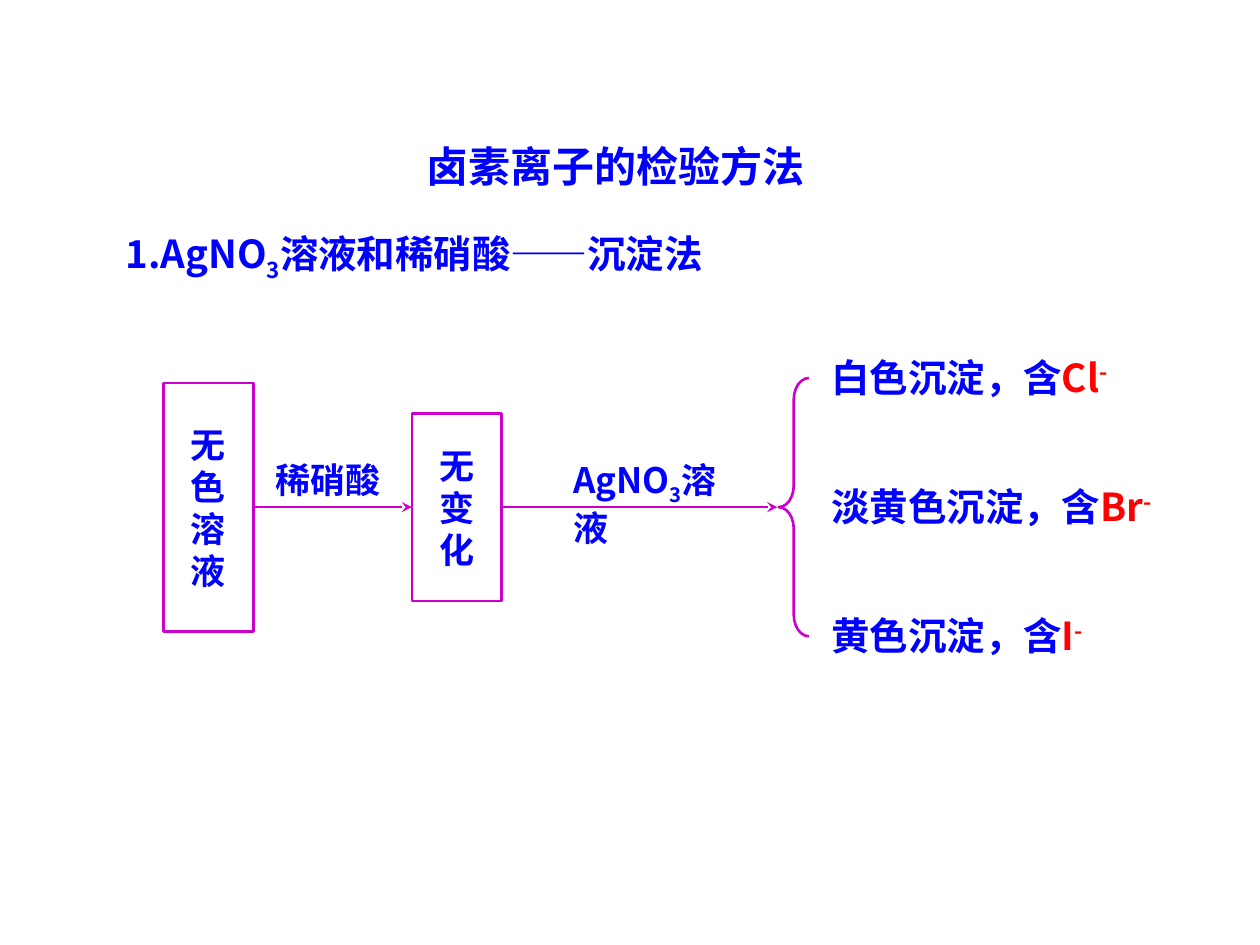
from dataclasses import dataclass

from lxml.etree import SubElement
from pptx import Presentation
from pptx.dml.color import RGBColor
from pptx.enum.shapes import MSO_CONNECTOR, MSO_SHAPE
from pptx.enum.text import MSO_ANCHOR, MSO_AUTO_SIZE, PP_ALIGN
from pptx.oxml.ns import qn
from pptx.util import Inches, Pt


@dataclass(frozen=True)
class Theme:
    ink: RGBColor = RGBColor(0x00, 0x00, 0xFF)
    accent: RGBColor = RGBColor(0xFF, 0x00, 0x00)
    line: RGBColor = RGBColor(0xCC, 0x00, 0xCC)
    font: str = "Noto Sans CJK SC"
    box_font: str = "Arial"
    title: int = 24
    body: int = 22
    label: int = 20
    line_width: float = 1.5
    sub: int = -25000
    sup: int = 30000


class Board:
    """Draws on a grid of 100 columns by 75 rows."""

    def __init__(self, prs, theme):
        self.theme = theme
        self.col, self.row = prs.slide_width / 100, prs.slide_height / 75
        self.slide = prs.slides.add_slide(prs.slide_layouts[6])

    def place(self, x, y, w=0, h=0):
        return (round(x * self.col), round(y * self.row),
                round(w * self.col), round(h * self.row))

    def fill_paragraph(self, p, runs, size, font, align):
        """Fill a paragraph from runs of (text, colour, baseline)."""
        p.alignment = align
        p.font.size, p.font.bold, p.font.name = Pt(size), True, font
        SubElement(p.font._element, qn("a:ea"), typeface=self.theme.font)
        p.font.color.rgb = self.theme.ink
        for text, color, baseline in runs:
            r = p.add_run()
            r.text = text
            if color != self.theme.ink:
                r.font.color.rgb = color
            if baseline:
                r.font._element.set("baseline", str(baseline))

    def text(self, runs, x, y, w, h, size, align=PP_ALIGN.LEFT):
        tf = self.slide.shapes.add_textbox(*self.place(x, y, w, h)).text_frame
        tf.word_wrap = True
        tf.auto_size = MSO_AUTO_SIZE.SHAPE_TO_FIT_TEXT
        self.fill_paragraph(tf.paragraphs[0], runs, size, self.theme.font,
                            align)

    def outline(self, kind, x, y, w, h):
        sp = self.slide.shapes.add_shape(kind, *self.place(x, y, w, h))
        sp.shadow.inherit = False
        sp.fill.background()
        sp.line.color.rgb = self.theme.line
        sp.line.width = Pt(self.theme.line_width)
        return sp

    def box(self, word, x, axis, w, h):
        """A box centred on the axis, one character to a line."""
        sp = self.outline(MSO_SHAPE.RECTANGLE, x, axis - h / 2, w, h)
        tf = sp.text_frame
        tf.word_wrap = False
        tf.vertical_anchor = MSO_ANCHOR.MIDDLE
        for i, char in enumerate(word):
            p = tf.add_paragraph() if i else tf.paragraphs[0]
            self.fill_paragraph(p, [(char, self.theme.ink, 0)],
                                self.theme.label, self.theme.box_font,
                                PP_ALIGN.CENTER)
        return sp

    def brace(self, x, axis, w, h):
        sp = self.outline(MSO_SHAPE.LEFT_BRACE, x, axis - h / 2, w, h)
        sp.adjustments[0] = 0.71

    def arrow(self, start, axis, x_end, end=None):
        """An arrow from a box's right side to a column or another box."""
        x, y, _, _ = self.place(x_end, axis)
        cxn = self.slide.shapes.add_connector(
            MSO_CONNECTOR.STRAIGHT, start.left + start.width, y, x, y)
        cxn.begin_connect(start, 3)
        if end is not None:
            cxn.end_connect(end, 1)
        cxn.line.color.rgb = self.theme.line
        cxn.line.width = Pt(self.theme.line_width)
        SubElement(cxn.line._get_or_add_ln(), qn("a:tailEnd"), type="stealth")
        SubElement(cxn._element.spPr, qn("a:effectLst"))


def main():
    prs = Presentation()
    prs.slide_width, prs.slide_height = Inches(10), Inches(7.5)
    t = Theme()
    board = Board(prs, t)
    axis = 40.25

    def plain(text):
        return (text, t.ink, 0)

    silver_nitrate = [plain("AgNO"), ("3", t.ink, t.sub)]

    # Headings
    board.text([plain("卤素离子的检验方法")], 20.1, 10.7, 57.5, 5,
               t.title, PP_ALIGN.CENTER)
    board.text([plain("1."), *silver_nitrate, plain("溶液和稀硝酸——沉淀法")],
               9, 17.8, 57.5, 5.2, t.body)

    # Test steps
    sample = board.box("无色溶液", 13, axis, 7.1, 19.7)
    unchanged = board.box("无变化", 32.7, axis, 7.1, 14.9)
    board.arrow(sample, axis, 32.7, unchanged)
    board.arrow(unchanged, axis, 61.7)

    # Reagents on the arrows
    board.text([plain("稀硝酸")], 20.9, 35.9, 11.8, 4.4, t.label)
    board.text([*silver_nitrate, plain("溶液")], 44.5, 35.9, 15, 8.2, t.label)

    # Outcomes
    board.brace(61.8, axis, 2.4, 20.5)
    outcomes = [("白色", "Cl"), ("淡黄色", "Br"), ("黄色", "I")]
    for i, (color, ion) in enumerate(outcomes):
        board.text([plain(f"{color}沉淀，含"), (ion, t.accent, 0),
                    ("-", t.accent, t.sup)],
                   65, 27.6 + i * 10.25, 29.1, 4.7, t.body)

    prs.save("out.pptx")


if __name__ == "__main__":
    main()
